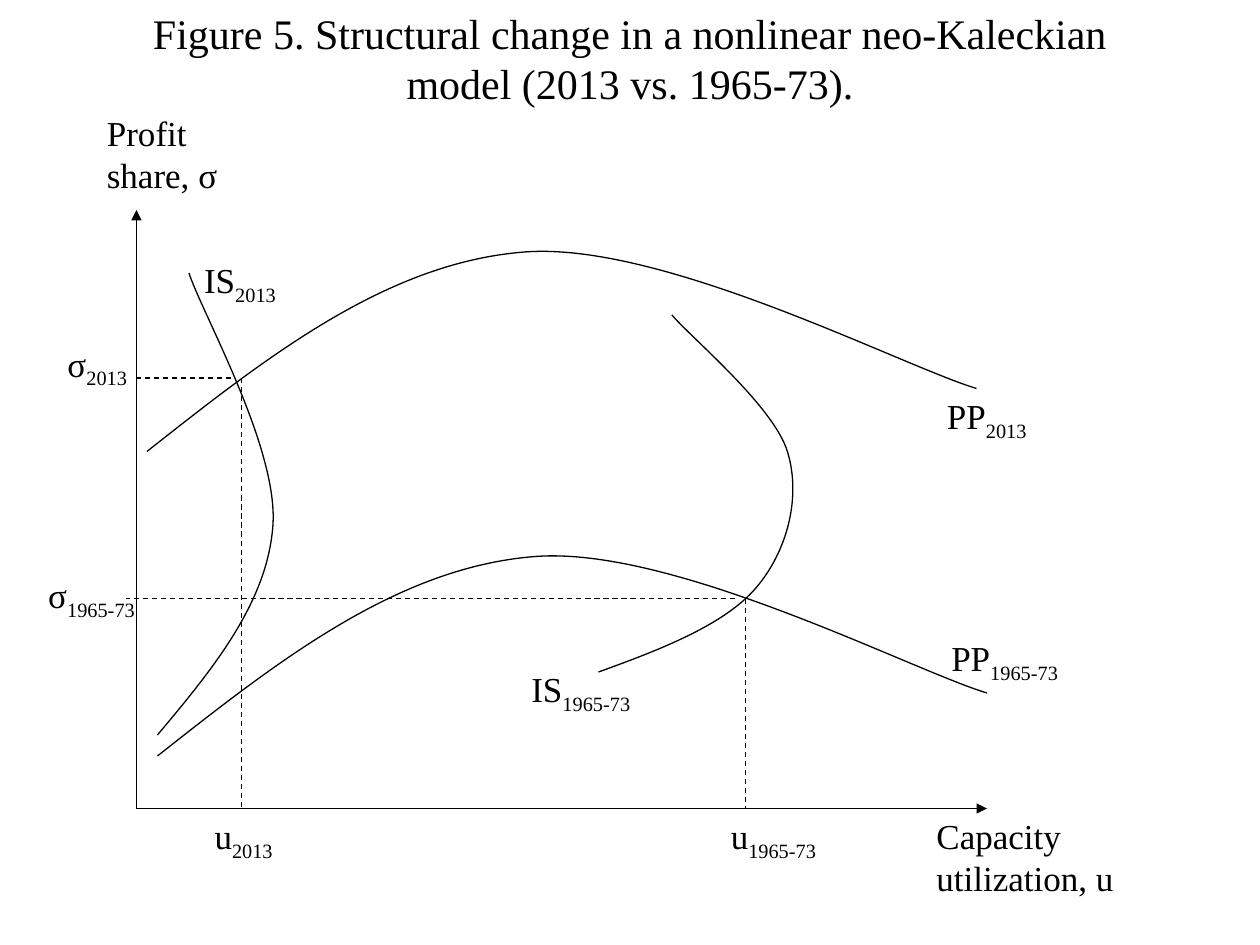
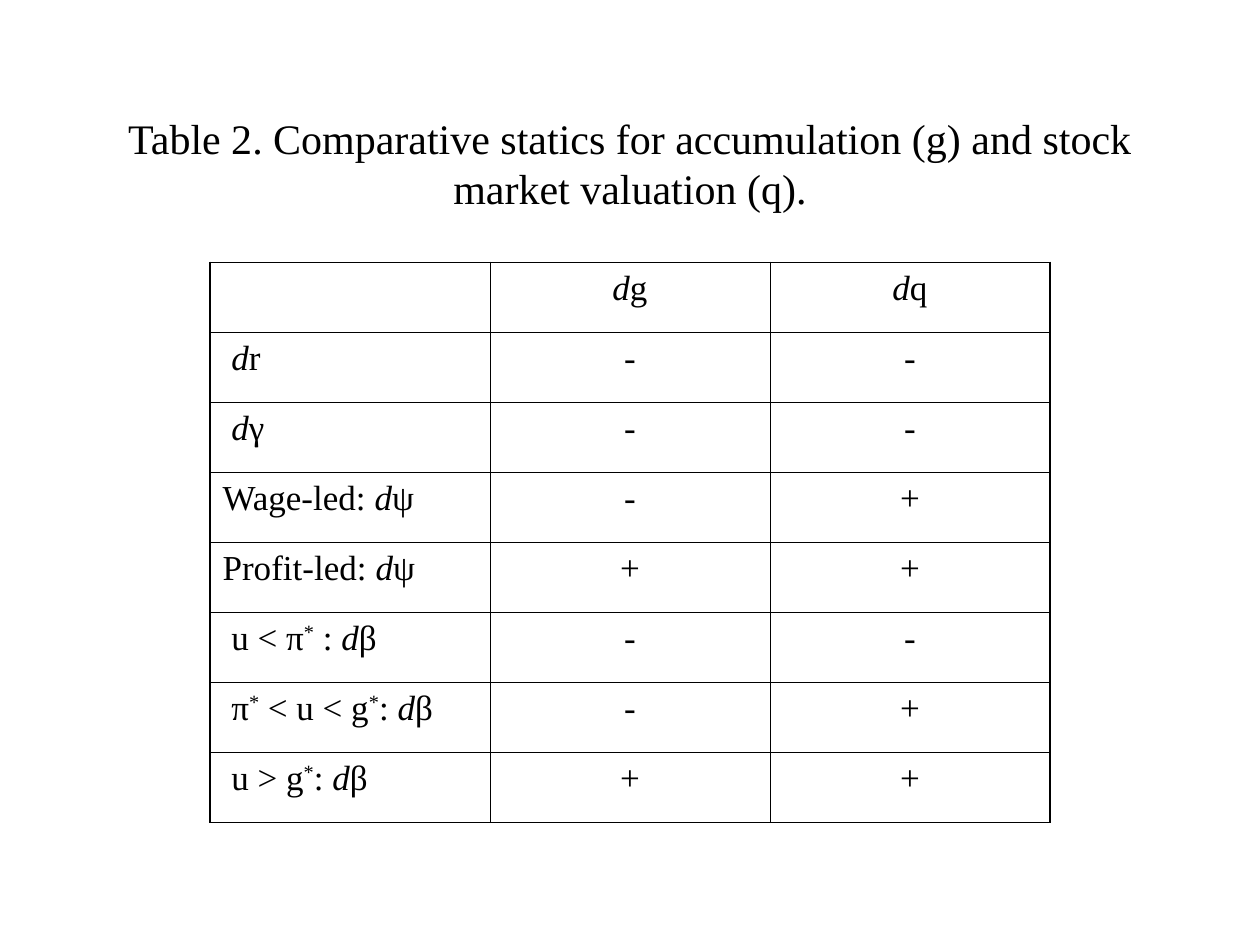
from lxml.etree import SubElement
from pptx import Presentation
from pptx.dml.color import RGBColor
from pptx.enum.dml import MSO_LINE
from pptx.enum.shapes import MSO_CONNECTOR
from pptx.enum.text import MSO_ANCHOR, MSO_AUTO_SIZE, PP_ALIGN
from pptx.oxml.ns import qn
from pptx.util import Pt

COLORS = {"ink": "000000"}
FONT = "Times New Roman"
TITLE_SIZE, BODY_SIZE = 24, 20
LINE_WIDTH = 0.75
SUB, SUPER = -25000, 30000

# Figure: axes, curves and labels
FIGURE_TITLE = "Figure 5. Structural change in a nonlinear neo-Kaleckian model (2013 vs. 1965-73)."
ORIGIN, AXIS_TOP, AXIS_RIGHT = (78, 462), (78, 120), (564, 462)
PP_2013 = [(84, 258), (152.5, 204), (221, 150), (300, 144), (379, 138), (515, 209), (558, 222)]
PP_1965_73 = [(x + 6, y + 174) for x, y in PP_2013]
IS_1965_73 = [(342, 384), (378, 371), (414, 357), (432, 336), (450, 315),
              (458, 284), (450, 258), (442, 232), (395, 193), (384, 180)]
IS_2013 = [(90, 420), (122, 382), (153, 344), (156, 300), (159, 256), (116, 180), (108, 156)]
# Equilibrium point (u, σ) and the left end of its horizontal guide
EQUILIBRIA = [(138, 216, 78), (426, 342, 72)]
AXIS_LABELS = [  # lines, left, top, width
    (["Profit", "share, σ"], 54, 60, 80),
    (["Capacity", "utilization, u"], 528, 462, 118),
]
SYMBOL_LABELS = [  # symbol, subscript, left, top, width
    ("PP", "1965-73", 536.5, 360, 77),
    ("PP", "2013", 534, 222, 62.5),
    ("IS", "2013", 109.5, 144, 57),
    ("IS", "1965-73", 296.5, 378, 73),
    ("σ", "2013", 31.5, 192, 50),
    ("σ", "1965-73", 20.5, 324, 66),
    ("u", "2013", 115.5, 462, 49),
    ("u", "1965-73", 410.5, 462, 65),
]

# Table: each row is (label indent, label runs, dg, dq)
TABLE_TITLE = "Table 2. Comparative statics for accumulation (g) and stock market valuation (q)."
D = ("d", "italic")
STAR = ("*", "super")
HEADINGS = [[D, "g"], [D, "q"]]
ROWS = [
    (5, [D, "r"], "-", "-"),
    (5, [D, "γ"], "-", "-"),
    (0, ["Wage-led: ", D, "ψ"], "-", "+"),
    (0, ["Profit-led: ", D, "ψ"], "+", "+"),
    (5, ["u < π", STAR, " : ", D, "β"], "-", "-"),
    (5, ["π", STAR, " < u < g", STAR, ": ", D, "β"], "-", "+"),
    (5, ["u > g", STAR, ": ", D, "β"], "+", "+"),
]
TABLE_LEFT, TABLE_TOP, COLUMN_WIDTH, ROW_HEIGHT = 120, 150, 160, 40
CELL_INSET = 7.2
OUTER_BORDER, INNER_BORDER = 1.08, 0.45


def ink():
    return RGBColor.from_string(COLORS["ink"])


def add_spans(para, parts, size=BODY_SIZE):
    """Add runs; a part is plain text or (text, "italic" | "super" | "sub")."""
    for part in parts:
        text, style = (part, "") if isinstance(part, str) else part
        span = para.add_run()
        span.text = text
        span.font.name, span.font.size = FONT, Pt(size)
        span.font.color.rgb = ink()
        if style == "italic":
            span.font.italic = True
        elif style:
            baseline = SUPER if style == "super" else SUB
            span.font._element.set("baseline", str(baseline))


def add_title(page, text, top, height):
    box = page.shapes.add_textbox(Pt(54), Pt(top), Pt(612), Pt(height))
    frame = box.text_frame
    frame.word_wrap = True
    frame.vertical_anchor = MSO_ANCHOR.MIDDLE
    frame.paragraphs[0].alignment = PP_ALIGN.CENTER
    add_spans(frame.paragraphs[0], [text], TITLE_SIZE)


def add_label(page, lines, left, top, width):
    """Add an unwrapped label; each line is a list of parts."""
    height = 7.2 + 24 * len(lines) + 3 * (len(lines) == 1)
    box = page.shapes.add_textbox(Pt(left), Pt(top), Pt(width), Pt(height))
    frame = box.text_frame
    frame.word_wrap = False
    frame.auto_size = MSO_AUTO_SIZE.SHAPE_TO_FIT_TEXT
    for index, parts in enumerate(lines):
        para = frame.add_paragraph() if index else frame.paragraphs[0]
        add_spans(para, parts)


def style_line(shape):
    shape.line.color.rgb = ink()
    shape.line.width = Pt(LINE_WIDTH)


def add_line(page, start, end, dashed=False, arrow=False):
    line = page.shapes.add_connector(
        MSO_CONNECTOR.STRAIGHT, *(Pt(value) for value in (*start, *end)))
    style_line(line)
    if dashed:
        line.line.dash_style = MSO_LINE.DASH
    if arrow:
        SubElement(line.line._get_or_add_ln(), qn("a:tailEnd"), type="triangle")
    SubElement(line._element.spPr, qn("a:effectLst"))


def add_curve(page, points):
    """Draw a Bezier curve: a start, then two controls and an end per segment."""
    scaled = [(Pt(x), Pt(y)) for x, y in points]
    builder = page.shapes.build_freeform(*scaled[0])
    builder.add_line_segments(scaled[1:], close=False)
    curve = builder.convert_to_shape()
    curve.fill.background()
    curve.shadow.inherit = False
    style_line(curve)
    outline = next(curve._element.iter(qn("a:path")))
    segments = outline.findall(qn("a:lnTo"))
    for first in range(0, len(segments), 3):
        bezier = SubElement(outline, qn("a:cubicBezTo"))
        for segment in segments[first:first + 3]:
            bezier.append(segment[0])
            outline.remove(segment)


def set_borders(cell, widths):
    """Set the left, right, top and bottom border widths."""
    properties = cell._tc.get_or_add_tcPr()
    for side, width in zip("LRTB", widths):
        border = SubElement(properties, qn(f"a:ln{side}"), w=str(Pt(width)))
        fill = SubElement(border, qn("a:solidFill"))
        SubElement(fill, qn("a:srgbClr"), val=COLORS["ink"])
    cell.fill.background()


def build_figure(page):
    add_title(page, FIGURE_TITLE, 24, 18)
    for end in (AXIS_TOP, AXIS_RIGHT):
        add_line(page, ORIGIN, end, arrow=True)
    for lines, *place in AXIS_LABELS:
        add_label(page, [[line] for line in lines], *place)
    for symbol, subscript, *place in SYMBOL_LABELS:
        add_label(page, [[symbol, (subscript, "sub")]], *place)
    for u, sigma, guide_left in EQUILIBRIA:
        add_line(page, (u, sigma), (u, ORIGIN[1]), dashed=True)
        add_line(page, (u - 6, sigma), (guide_left, sigma), dashed=True)
    for points in (PP_2013, PP_1965_73, IS_1965_73, IS_2013):
        add_curve(page, points)


def build_table(page):
    add_title(page, TABLE_TITLE, 48, 90)
    grid = [(0, [], *HEADINGS)] + ROWS
    row_count, column_count = len(grid), len(HEADINGS) + 1
    table = page.shapes.add_table(
        row_count, column_count, Pt(TABLE_LEFT), Pt(TABLE_TOP),
        Pt(COLUMN_WIDTH * column_count), Pt(ROW_HEIGHT * row_count)).table
    table.first_row = table.horz_banding = False
    for row, (indent, *contents) in enumerate(grid):
        for column, parts in enumerate(contents):
            cell = table.cell(row, column)
            para = cell.text_frame.paragraphs[0]
            add_spans(para, parts)
            if column:
                para.alignment = PP_ALIGN.CENTER
            else:
                cell.margin_left = Pt(CELL_INSET + indent)
            on_edge = (column == 0, column == column_count - 1, row == 0, row == row_count - 1)
            set_borders(cell, [OUTER_BORDER if edge else INNER_BORDER for edge in on_edge])


def main():
    deck = Presentation()
    deck.slide_width, deck.slide_height = Pt(720), Pt(540)
    for build in (build_figure, build_table):
        build(deck.slides.add_slide(deck.slide_layouts[6]))
    deck.save("out.pptx")


if __name__ == "__main__":
    main()
